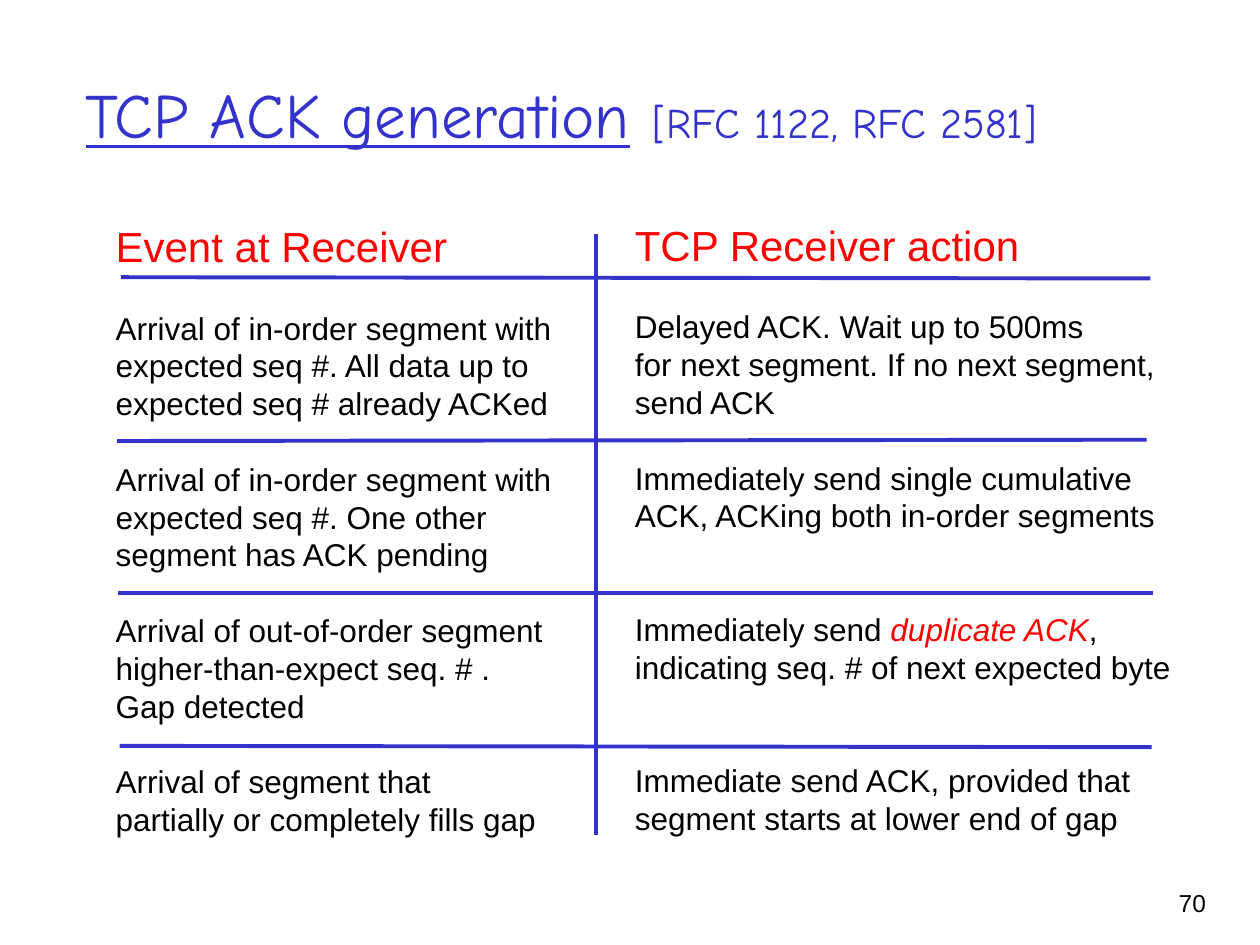
from dataclasses import dataclass

from pptx import Presentation
from pptx.dml.color import RGBColor
from pptx.enum.shapes import MSO_CONNECTOR
from pptx.enum.text import MSO_ANCHOR, MSO_AUTO_SIZE, PP_ALIGN
from pptx.oxml.ns import qn
from pptx.util import Inches, Pt


@dataclass(frozen=True)
class Theme:
    blue: RGBColor = RGBColor(0x33, 0x33, 0xCC)
    red: RGBColor = RGBColor(0xFF, 0x00, 0x00)
    black: RGBColor = RGBColor(0x00, 0x00, 0x00)
    title_font: str = "Comic Neue"
    body_font: str = "Arial"
    title_size: float = 36
    title_gap_size: float = 40
    heading_size: float = 24
    body_size: float = 18
    number_size: float = 14
    rule_width: float = 2.25
    leading: float = 1.2


THEME = Theme()
ROW_LINES = 4  # lines of body text from the start of one row to the next

# Each cell is a list of lines; text between asterisks is emphasised.
EVENTS = [
    ["Arrival of in-order segment with", "expected seq #. All data up to",
     "expected seq # already ACKed"],
    ["Arrival of in-order segment with", "expected seq #. One other",
     "segment has ACK pending"],
    ["Arrival of out-of-order segment", "higher-than-expect seq. # .",
     "Gap detected"],
    ["Arrival of segment that", "partially or completely fills gap"],
]
ACTIONS = [
    ["Delayed ACK. Wait up to 500ms", "for next segment. If no next segment,",
     "send ACK"],
    ["Immediately send single cumulative", "ACK, ACKing both in-order segments"],
    ["Immediately send *duplicate ACK*,",
     "indicating seq. # of next expected byte"],
    ["Immediate send ACK, provided that", "segment starts at lower end of gap"],
]
RULES = [
    (0.96, 2.2, 9.13, 2.21),
    (0.93, 3.5, 9.1, 3.49),
    (0.94, 4.71, 9.15, 4.71),
    (0.95, 5.92, 9.14, 5.93),
    (4.73, 1.86, 4.73, 6.63),
]


def style(font, size, color, name=THEME.body_font):
    font.name, font.size = name, Pt(size)
    font.color.rgb = color


def place_title(slide, left, top, width, height):
    title = slide.shapes.title
    title.left, title.top = Inches(left), Inches(top)
    title.width, title.height = Inches(width), Inches(height)
    frame = title.text_frame
    frame.auto_size = MSO_AUTO_SIZE.NONE
    frame.vertical_anchor = MSO_ANCHOR.MIDDLE
    heading = frame.paragraphs[0]
    heading.alignment = PP_ALIGN.LEFT
    style(heading.font, THEME.title_size, THEME.blue, THEME.title_font)
    for text, size, underline in (
        ("TCP ACK generation", THEME.title_size, True),
        (" ", THEME.title_gap_size, False),
        ("[RFC 1122, RFC 2581]", THEME.heading_size, False),
    ):
        run = heading.add_run()
        run.text = text
        run.font.size, run.font.underline = Pt(size), underline


def fill_cell(cell, lines):
    for number, line in enumerate(lines):
        if number:
            cell.add_line_break()
        for index, part in enumerate(line.split("*")):
            run = cell.add_run()
            run.text = part
            if index % 2:
                run.font.italic = True
                run.font.color.rgb = THEME.red


def add_column(slide, left, top, width, height, heading, cells):
    """Set a heading and its cells so that rows start at equal steps."""
    box = slide.shapes.add_textbox(*map(Inches, (left, top, width, height)))
    frame = box.text_frame
    frame.word_wrap = False
    frame.auto_size = MSO_AUTO_SIZE.SHAPE_TO_FIT_TEXT
    head = frame.paragraphs[0]
    head.text = heading
    head.line_spacing = Pt(THEME.heading_size * THEME.leading)
    style(head.font, THEME.heading_size, THEME.red)

    pitch = THEME.body_size * THEME.leading
    blank_lines = 1
    for lines in cells:
        cell = frame.add_paragraph()
        cell.line_spacing = Pt(pitch)
        cell.space_before = Pt(blank_lines * pitch)
        style(cell.font, THEME.body_size, THEME.black)
        fill_cell(cell, lines)
        blank_lines = ROW_LINES - len(lines)


def add_rule(slide, *ends):
    rule = slide.shapes.add_connector(MSO_CONNECTOR.STRAIGHT, *map(Inches, ends))
    rule.line.color.rgb = THEME.blue
    rule.line.width = Pt(THEME.rule_width)
    properties = rule._element.spPr
    properties.append(properties.makeelement(qn("a:effectLst"), {}))


def add_page_number(slide, left, top, width, height, number):
    box = slide.shapes.add_textbox(*map(Inches, (left, top, width, height)))
    box.text_frame.word_wrap = True
    page = box.text_frame.paragraphs[0]
    page.text = number
    page.alignment = PP_ALIGN.RIGHT
    style(page.font, THEME.number_size, THEME.black)


def main():
    deck = Presentation()
    deck.slide_width, deck.slide_height = Inches(10), Inches(7.5)
    slide = deck.slides.add_slide(deck.slide_layouts[5])
    place_title(slide, 0.58, 0.25, 8.5, 1.25)
    add_column(slide, 0.82, 1.7, 3.66, 5.6, "Event at Receiver", EVENTS)
    add_column(slide, 4.94, 1.69, 4.45, 5.6, "TCP Receiver action", ACTIONS)
    for ends in RULES:
        add_rule(slide, *ends)
    add_page_number(slide, 8.93, 7, 0.74, 0.5, "70")
    deck.save("out.pptx")


if __name__ == "__main__":
    main()
